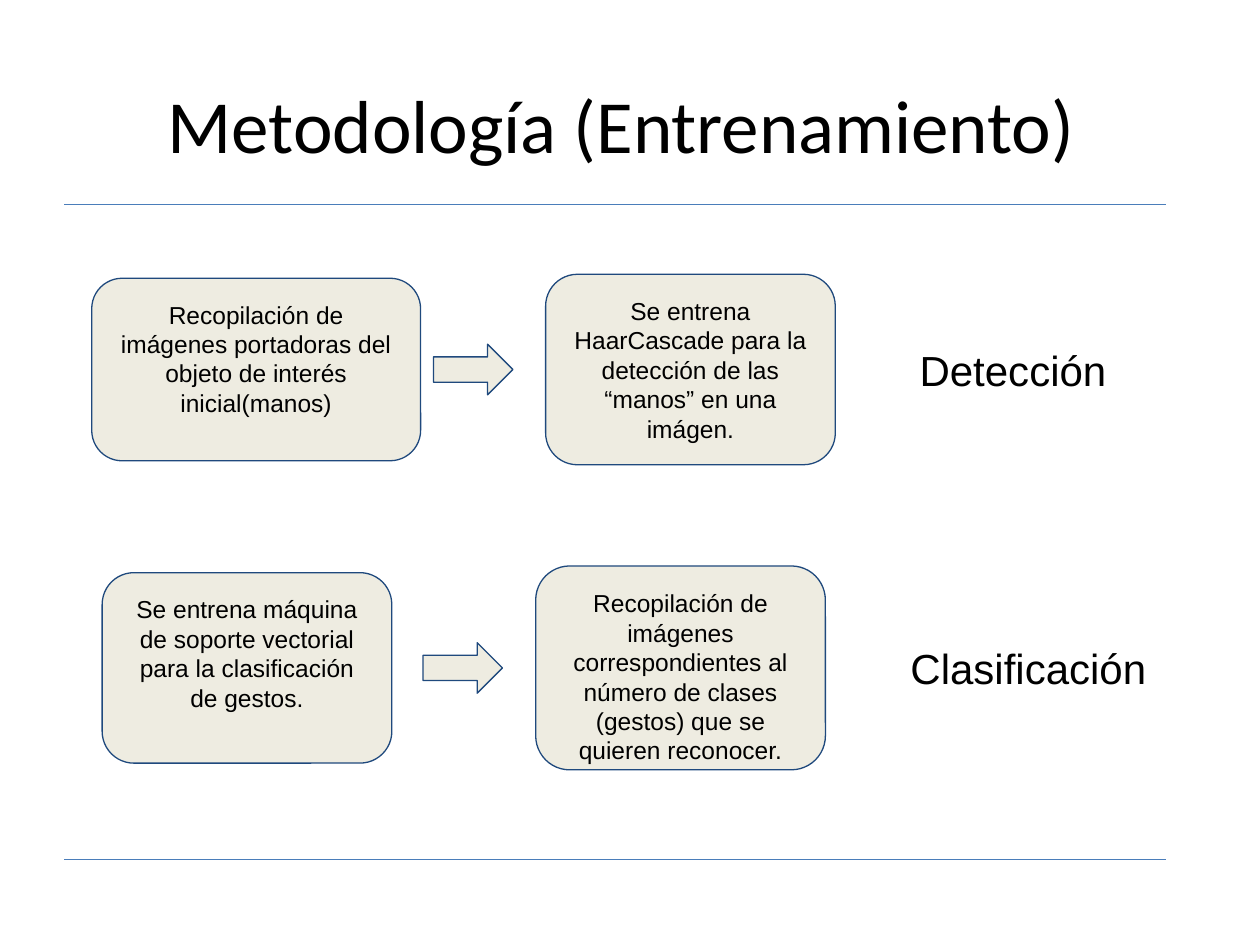
from lxml.etree import SubElement
from pptx import Presentation
from pptx.dml.color import RGBColor
from pptx.enum.shapes import MSO_CONNECTOR, MSO_SHAPE
from pptx.enum.text import MSO_ANCHOR, PP_ALIGN
from pptx.oxml.ns import qn
from pptx.util import Cm, Pt

BLACK, BEIGE, NAVY, BLUE = "000000", "EEECE1", "1F497D", "4A7DBA"
BOX_WIDTH = 5.84
STAGES = [
    {
        "region": (1.85, 5.53, 21.49, 3.84),
        "boxes": [
            (0, 6.63, 3.68, "Recopilación de imágenes portadoras del objeto de interés inicial(manos)"),
            (9.15, BOX_WIDTH, 3.84, "Se entrena HaarCascade para la detección de las “manos” en una imágen."),
        ],
        "arrow": 6.89,
        "label": (15.65, "Detección"),
    },
    {
        "region": (2.06, 11.41, 21.59, 4.11),
        "boxes": [
            (0, BOX_WIDTH, 3.84, "Se entrena máquina de soporte vectorial para la clasificación de gestos."),
            (8.74, BOX_WIDTH, 4.11, "Recopilación de imágenes correspondientes al número de clases "
                                    "(gestos) que se quieren reconocer."),
        ],
        "arrow": 6.47,
        "label": (15.75, "Clasificación"),
    },
]


def color(value):
    """Turn a hex string into a colour."""
    return RGBColor.from_string(value)


def write(shape, text, size, font, anchor, margin=0.25):
    """Put one centred run of text into a shape."""
    frame = shape.text_frame
    frame.word_wrap = True
    frame.vertical_anchor = anchor
    frame.margin_left = frame.margin_right = Cm(0.25)
    frame.margin_top = frame.margin_bottom = Cm(margin)
    paragraph = frame.paragraphs[0]
    paragraph.alignment = PP_ALIGN.CENTER
    run = paragraph.add_run()
    run.text = text
    run.font.size = Pt(size)
    run.font.name = font
    run.font.color.rgb = color(BLACK)


def add_outlined(slide, kind, left, middle, width, height):
    """Add a beige shape centred vertically on the given middle."""
    shape = slide.shapes.add_shape(kind, Cm(left), Cm(middle - height / 2), Cm(width), Cm(height))
    shape.shadow.inherit = False
    shape.fill.solid()
    shape.fill.fore_color.rgb = color(BEIGE)
    shape.line.color.rgb = color(NAVY)
    shape.line.width = Pt(0.75)
    return shape


def add_rule(slide, left, top, width):
    """Draw a thin horizontal line."""
    line = slide.shapes.add_connector(MSO_CONNECTOR.STRAIGHT, Cm(left), Cm(top), Cm(left + width), Cm(top))
    line.line.color.rgb = color(BLUE)
    line.line.width = Pt(0.75)
    SubElement(line._element.spPr, qn("a:effectLst"))


def add_title(slide, left, top, width, height, text):
    """Place the slide title in its box."""
    title = slide.shapes.add_textbox(Cm(left), Cm(top), Cm(width), Cm(height))
    write(title, text, 42.9, "Calibri", MSO_ANCHOR.MIDDLE, 0.13)


def add_stage(slide, region, boxes, arrow, label):
    """Place two boxes, the arrow between them and the stage label on one row."""
    left, top, width, height = region
    middle = top + height / 2
    for offset, box_width, box_height, text in boxes:
        box = add_outlined(slide, MSO_SHAPE.ROUNDED_RECTANGLE, left + offset, middle, box_width, box_height)
        write(box, text, 14, "Arial", MSO_ANCHOR.TOP)
    add_outlined(slide, MSO_SHAPE.RIGHT_ARROW, left + arrow, middle, 1.6, 1.02)
    offset, text = label
    label_height = 1.85
    name = slide.shapes.add_textbox(
        Cm(left + offset), Cm(middle - label_height / 2), Cm(width - offset), Cm(label_height))
    write(name, text, 24, "Arial", MSO_ANCHOR.MIDDLE)


def main():
    """Build the slide and save it."""
    presentation = Presentation()
    presentation.slide_width, presentation.slide_height = Cm(25.4), Cm(19.05)
    slide = presentation.slides.add_slide(presentation.slide_layouts[6])
    for top in (4.12, 17.32):
        add_rule(slide, 1.3, top, 22.2)
    add_title(slide, 1.09, 0.91, 22.86, 3.18, "Metodología (Entrenamiento)")
    for stage in STAGES:
        add_stage(slide, **stage)
    presentation.save("out.pptx")


if __name__ == "__main__":
    main()
